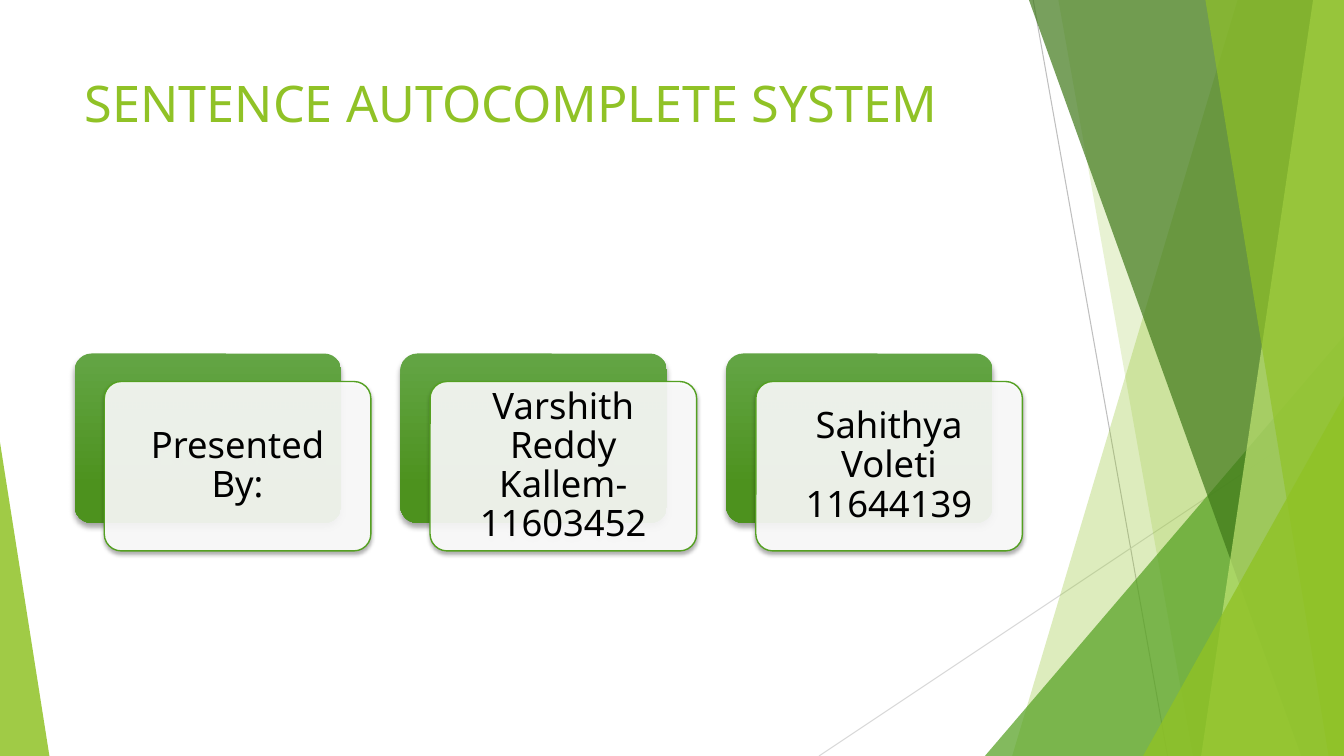
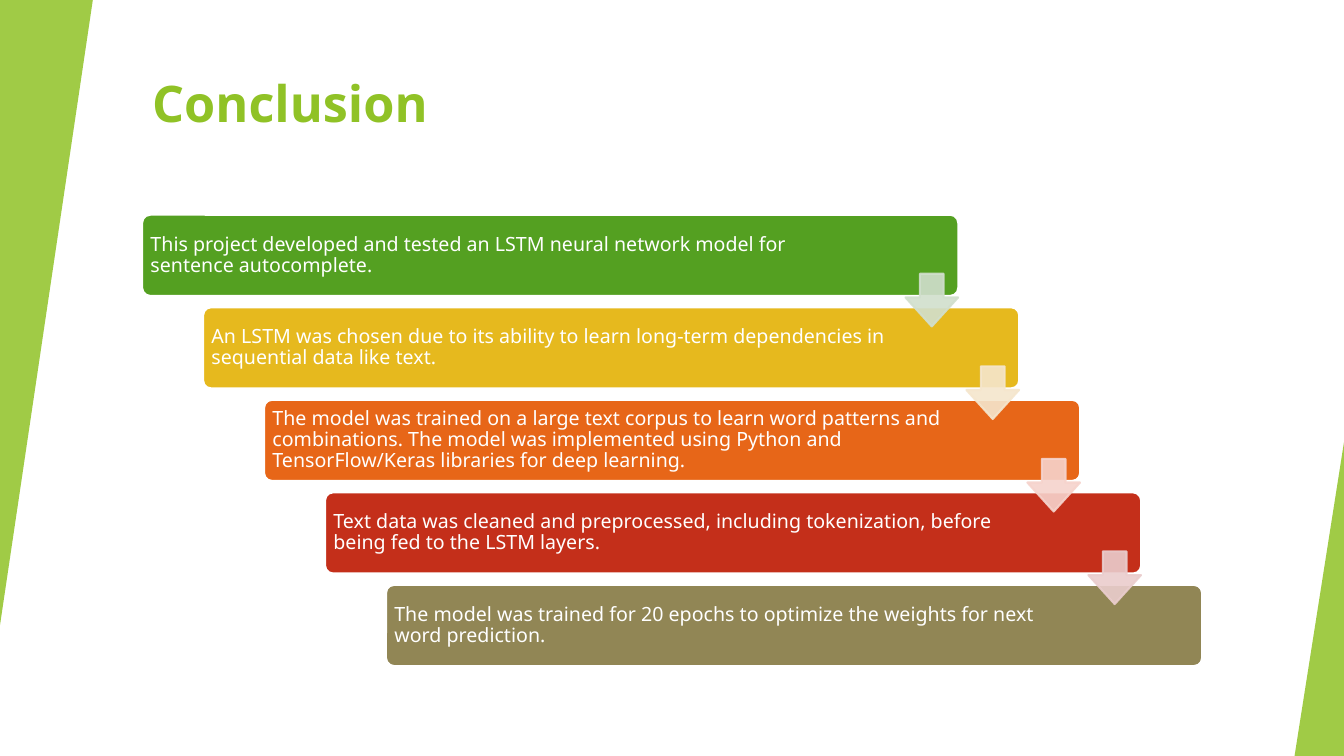
from lxml import etree
from pptx import Presentation
from pptx.dml.color import RGBColor
from pptx.enum.shapes import MSO_CONNECTOR, MSO_SHAPE
from pptx.enum.text import MSO_ANCHOR, MSO_AUTO_SIZE, PP_ALIGN
from pptx.oxml.ns import qn
from pptx.util import Pt

TRIANGLE = MSO_SHAPE.ISOSCELES_TRIANGLE
ROUNDED = MSO_SHAPE.ROUNDED_RECTANGLE
DOWN_ARROW = MSO_SHAPE.DOWN_ARROW
LEFT, CENTER = PP_ALIGN.LEFT, PP_ALIGN.CENTER

W, H = 960, 540
FONT = "Noto Sans"
COLORS = {
    "lime": "90C226", "green": "54A021", "forest": "3F7819", "pale": "C0E474",
    "card_top": "63A545", "card_bottom": "4D921E",
    "gold": "E6B91E", "orange": "E76618", "red": "C42F1A", "olive": "918655",
    "mint": "D1DFCD", "cream": "F5E6CD", "peach": "F6D3CC", "pink": "EACDCD",
    "gray": "BFBFBF", "light_gray": "D9D9D9", "white": "FFFFFF", "black": "000000",
}


def rgb(name):
    return RGBColor.from_string(COLORS[name])


class Deck:
    """Holds the shared style and the current slide."""

    def __init__(self):
        self.prs = Presentation()
        self.prs.slide_width, self.prs.slide_height = Pt(W), Pt(H)
        self.s = None

    def slide(self, title, x, width, bold=False):
        self.s = self.prs.slides.add_slide(self.prs.slide_layouts[5])
        sp = self.s.shapes.title
        sp.left, sp.top, sp.width, sp.height = Pt(x), Pt(48), Pt(width), Pt(96)
        tf = sp.text_frame
        tf.text = title
        tf.auto_size = MSO_AUTO_SIZE.NONE
        tf.vertical_anchor = MSO_ANCHOR.TOP
        self.format(tf, 36, "lime", LEFT, bold)

    def format(self, tf, size, color, align, bold=False):
        for p in tf.paragraphs:
            p.alignment = align
            for r in p.runs:
                r.font.name, r.font.size, r.font.bold = FONT, Pt(size), bold
                r.font.color.rgb = rgb(color)

    def paint(self, fill, color, alpha=100):
        fill.solid()
        fill.fore_color.rgb = rgb(color)
        if alpha < 100:
            clr = fill._xPr.find(qn("a:solidFill"))[0]
            etree.SubElement(clr, qn("a:alpha"), val=str(alpha * 1000))

    def finish(self, sp, color, alpha=100, line=None, line_width=1.5, line_alpha=100):
        sp.shadow.inherit = False
        self.paint(sp.fill, color, alpha)
        if line:
            sp.line.width = Pt(line_width)
            self.paint(sp.line.fill, line, line_alpha)
        else:
            sp.line.fill.background()
        return sp

    def shape(self, kind, x, y, w, h, color, adj, **style):
        sp = self.s.shapes.add_shape(kind, Pt(x), Pt(y), Pt(w), Pt(h))
        for i, value in enumerate(adj):
            sp.adjustments[i] = value
        return self.finish(sp, color, **style)

    def outline(self, points, color, alpha):
        points = [(Pt(x), Pt(y)) for x, y in points]
        builder = self.s.shapes.build_freeform(*points[0], scale=1.0)
        builder.add_line_segments(points[1:], close=True)
        return self.finish(builder.convert_to_shape(), color, alpha)

    def line(self, x1, y1, x2, y2, color):
        c = self.s.shapes.add_connector(
            MSO_CONNECTOR.STRAIGHT, Pt(x1), Pt(y1), Pt(x2), Pt(y2))
        c.line.width = Pt(0.75)
        c.line.color.rgb = rgb(color)
        etree.SubElement(c._element.spPr, qn("a:effectLst"))

    def shadow(self, sp, blur, distance):
        effects = sp._element.spPr.find(qn("a:effectLst"))
        outer = etree.SubElement(
            effects, qn("a:outerShdw"), blurRad=str(Pt(blur)), dist=str(Pt(distance)),
            dir="5400000", rotWithShape="0")
        clr = etree.SubElement(outer, qn("a:srgbClr"), val=COLORS["black"])
        etree.SubElement(clr, qn("a:alpha"), val="35000")

    def gradient(self, sp, top, bottom):
        sp.fill.gradient()
        sp.fill.gradient_angle = 270
        for stop, color, position in zip(sp.fill.gradient_stops, (top, bottom), (0, 0.78)):
            stop.color.rgb = rgb(color)
            stop.position = position

    def text(self, sp, text, size, color, align, margin, right):
        tf = sp.text_frame
        tf.text = text
        tf.word_wrap = True
        tf.vertical_anchor = MSO_ANCHOR.MIDDLE
        tf.margin_left = tf.margin_top = tf.margin_bottom = Pt(margin)
        tf.margin_right = Pt(right)
        tf.paragraphs[0].line_spacing = 0.9
        self.format(tf, size, color, align)

    def corner(self, x, apex):
        self.shape(TRIANGLE, x, 316, 35.3, 224, "lime", [apex], alpha=85)

    def facets(self):
        self.line(738, 0, 834, H, "gray")
        self.line(W, 290, 585, H, "light_gray")

        def band(top, bottom, color, alpha):
            self.outline([(top, 0), (W, 0), (W, H), (bottom, H)], color, alpha)

        def peak(x, y, color, alpha):
            self.shape(TRIANGLE, x, y, W - x, H - y, color, [1], alpha=alpha)

        band(884, 723, "lime", 30)
        band(756, 852, "lime", 20)
        peak(703.5, 240, "green", 72)
        band(735, 929.5, "forest", 70)
        band(938, 858, "pale", 70)
        band(861, 949, "lime", 65)
        peak(816.5, 283, "lime", 80)
        self.corner(0, 0)

    def card(self, x, y, text):
        w, h = 190.4, 121
        back = self.shape(ROUNDED, x, y, w, h, "green", [0.1])
        self.gradient(back, "card_top", "card_bottom")
        self.shadow(back, 4, 3)
        front = self.shape(ROUNDED, x + 21.2, y + 20, w, h, "white", [0.1],
                           alpha=90, line="green", line_width=1)
        self.shadow(front, 3, 2)
        self.text(front, text, 26, "black", CENTER, 7.7, 7.7)

    def bar(self, x, y, color, text):
        sp = self.shape(ROUNDED, x, y, 583, 58, color, [0.1], line="white")
        self.text(sp, text, 14, "white", LEFT, 4.3, 86)

    def arrow(self, x, y, color):
        self.shape(DOWN_ARROW, x, y, 37.6, 37.6, color, [0.45, 0.55],
                   alpha=90, line=color, line_alpha=90)


deck = Deck()

# Opening slide: three presenter cards
deck.slide("SENTENCE AUTOCOMPLETE SYSTEM", 53.3, 677)
deck.facets()
presenters = ["Presented By:", "Varshith Reddy Kallem- 11603452", "Sahithya Voleti 11644139"]
for i, text in enumerate(presenters):
    deck.card(53.3 + 232.7 * i, 252.5, text)

# Conclusion slide: descending steps joined by arrows
deck.slide("Conclusion", 101.5, 803, bold=True)
deck.shape(TRIANGLE, 0, 0, 66.3, 446.5, "lime", [1], alpha=85).rotation = 180
deck.corner(W - 35.3, 1)
steps = [
    ("green", "This project developed and tested an LSTM neural network model for "
              "sentence autocomplete."),
    ("gold", "An LSTM was chosen due to its ability to learn long-term dependencies in "
             "sequential data like text."),
    ("orange", "The model was trained on a large text corpus to learn word patterns and "
               "combinations. The model was implemented using Python and "
               "TensorFlow/Keras libraries for deep learning."),
    ("red", "Text data was cleaned and preprocessed, including tokenization, before "
            "being fed to the LSTM layers."),
    ("olive", "The model was trained for 20 epochs to optimize the weights for next "
              "word prediction."),
]
STEP_X, STEP_Y = 43.55, 66.1
for i, (color, text) in enumerate(steps):
    deck.bar(101.5 + STEP_X * i, 153.4 + STEP_Y * i, color, text)
for i, color in enumerate(["mint", "cream", "peach", "pink"]):
    deck.arrow(646.8 + STEP_X * i, 195.6 + STEP_Y * i, color)

deck.prs.save("out.pptx")
